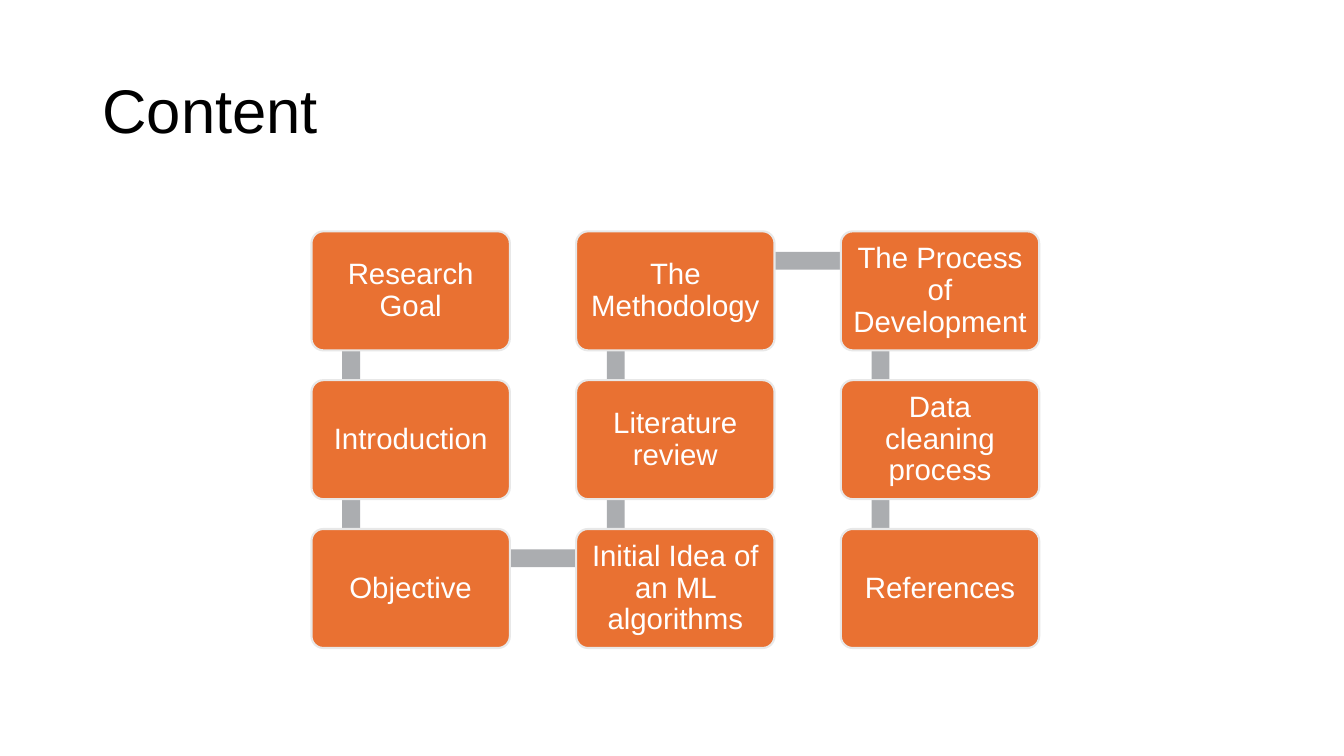
"""Build the Content slide: nine topics in a winding three-column path."""
import pptx
import pptx.dml.color
import pptx.enum.shapes
import pptx.enum.text
import pptx.util

Cm = pptx.util.Cm
Pt = pptx.util.Pt
SHAPES = pptx.enum.shapes.MSO_SHAPE
ALIGN = pptx.enum.text.PP_ALIGN
MIDDLE = pptx.enum.text.MSO_ANCHOR.MIDDLE

TITLE = "Content"
TOPICS = [
    "Research Goal", "Introduction", "Objective",
    "Initial Idea of an ML algorithms", "Literature review", "The Methodology",
    "The Process of Development", "Data cleaning process", "References",
]
COLORS = {"title": "000000", "card": "E97132", "border": "E8E8E8",
          "text": "FFFFFF", "link": "ABADB0"}
ROWS = 3
GRID_LEFT, GRID_TOP = 7.85, 5.83
STEP_X, STEP_Y = 6.67, 3.75
CARD_WIDTH, CARD_HEIGHT = 5, 3
LINK_X, LINK_Y, LINK_THICKNESS = 1, 0.74, 0.45


def color(value):
    return pptx.dml.color.RGBColor.from_string(value)


def set_attributes(target, values):
    for name, value in values.items():
        setattr(target, name, value)


def write(shape, text, size, text_color, alignment, margins):
    frame = shape.text_frame
    set_attributes(frame, {"word_wrap": True, "vertical_anchor": MIDDLE, **margins})
    paragraph = frame.paragraphs[0]
    set_attributes(paragraph, {"text": text, "alignment": alignment, "line_spacing": 0.9})
    set_attributes(paragraph.font, {"name": "Arial", "size": Pt(size)})
    paragraph.font.color.rgb = color(text_color)


def add_block(slide, kind, left, top, width, height, fill):
    shape = slide.shapes.add_shape(kind, Cm(left), Cm(top), Cm(width), Cm(height))
    shape.shadow.inherit = False
    shape.fill.solid()
    shape.fill.fore_color.rgb = color(fill)
    shape.line.fill.background()
    return shape


def card_position(index):
    column, step = divmod(index, ROWS)
    row = ROWS - 1 - step if column % 2 else step
    return GRID_LEFT + column * STEP_X, GRID_TOP + row * STEP_Y


def add_link(slide, start, end):
    left, top = min(start[0], end[0]) + LINK_X, min(start[1], end[1]) + LINK_Y
    width, height = abs(end[0] - start[0]), abs(end[1] - start[1])
    if width:
        top, height = top - LINK_THICKNESS / 2, LINK_THICKNESS
    else:
        left, width = left - LINK_THICKNESS / 2, LINK_THICKNESS
    add_block(slide, SHAPES.RECTANGLE, left, top, width, height, COLORS["link"])


def add_card(slide, position, topic):
    card = add_block(slide, SHAPES.ROUNDED_RECTANGLE, *position,
                     CARD_WIDTH, CARD_HEIGHT, COLORS["card"])
    card.adjustments[0] = 0.1
    card.line.color.rgb = color(COLORS["border"])
    card.line.width = Pt(1.5)
    margins = {f"margin_{side}": Cm(0.22) for side in ("left", "top", "right", "bottom")}
    write(card, topic, 21, COLORS["text"], ALIGN.CENTER, margins)


def main():
    presentation = pptx.Presentation()
    set_attributes(presentation, {"slide_width": Cm(33.87), "slide_height": Cm(19.05)})
    slide = presentation.slides.add_slide(presentation.slide_layouts[6])
    title = slide.shapes.add_textbox(Cm(2.33), Cm(1.01), Cm(29.21), Cm(3.68))
    write(title, TITLE, 44, COLORS["title"], ALIGN.LEFT, {})

    positions = [card_position(index) for index in range(len(TOPICS))]
    for start, end in zip(positions, positions[1:]):
        add_link(slide, start, end)
    for position, topic in zip(positions, TOPICS):
        add_card(slide, position, topic)
    presentation.save("out.pptx")


if __name__ == "__main__":
    main()
